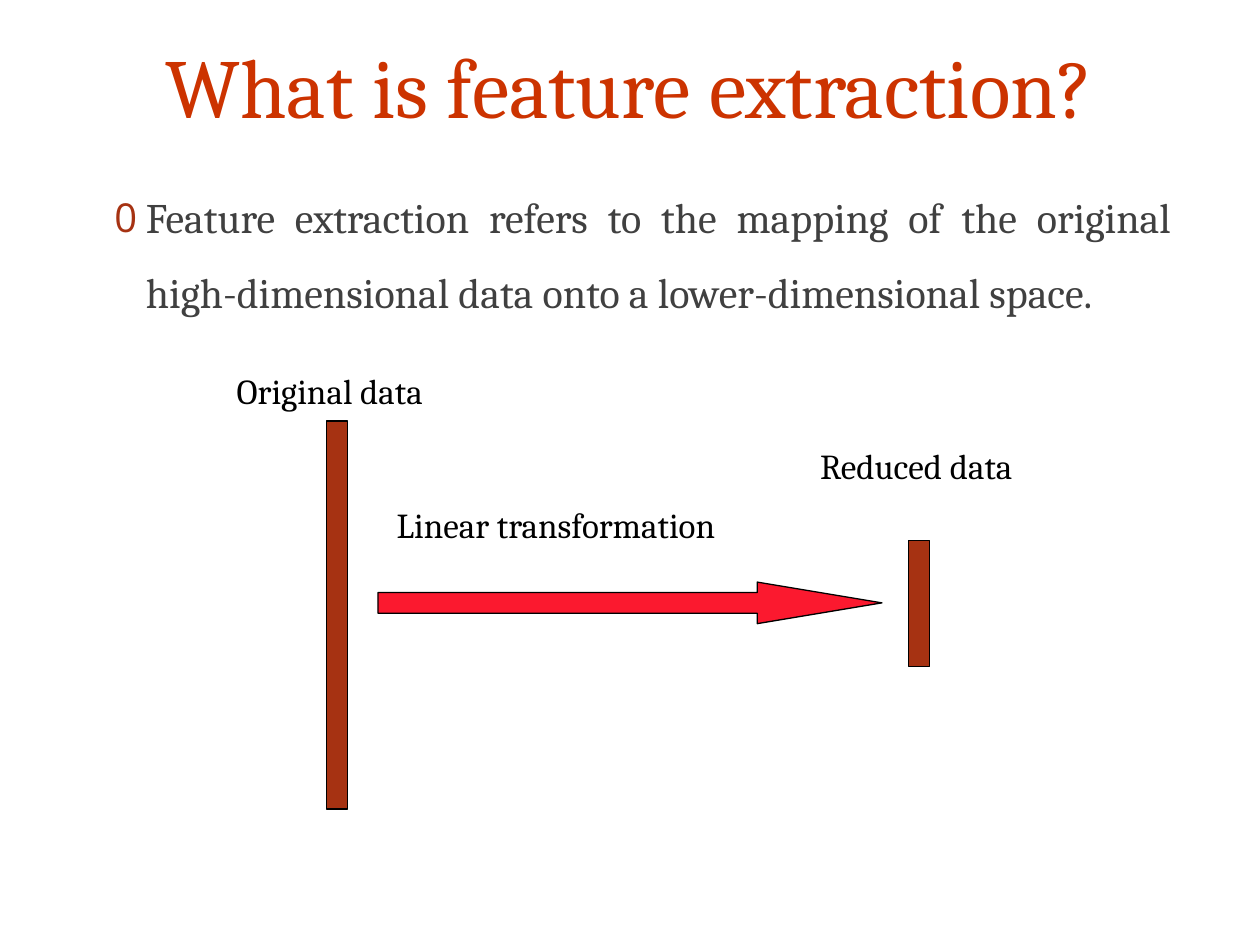
from typing import NamedTuple

from lxml.etree import SubElement
from pptx import Presentation
from pptx.dml.color import RGBColor
from pptx.enum.shapes import MSO_SHAPE
from pptx.enum.text import MSO_ANCHOR, PP_ALIGN
from pptx.oxml.ns import qn
from pptx.util import Inches, Pt

FONT = "Cambria"
COLORS = {
    "title": "CC3300",
    "body": "404040",
    "label": "000000",
    "outline": "000000",
    "data": "A63212",
    "arrow": "FB192F",
}


class Box(NamedTuple):
    left: float
    top: float
    width: float
    height: float

    def lengths(self) -> list:
        return [Inches(value) for value in self]


class Text(NamedTuple):
    words: str
    box: Box
    size: int = 20
    color: str = "label"
    align: PP_ALIGN = PP_ALIGN.LEFT
    anchor: MSO_ANCHOR = MSO_ANCHOR.TOP
    wrap: bool = True


class Block(NamedTuple):
    preset: MSO_SHAPE
    box: Box
    color: str
    adjustments: tuple = ()


TITLE = Text("What is feature extraction?", Box(0.6, 0.08, 8.79, 1.19), 48,
             "title", PP_ALIGN.CENTER, MSO_ANCHOR.MIDDLE)
DEFINITION = Text(
    "Feature extraction refers to the mapping of the original "
    "high-dimensional data onto a lower-dimensional space.",
    Box(0.81, 1.27, 8.58, 4.67), 24, "body", PP_ALIGN.JUSTIFY)
LABELS = [
    Text("Linear transformation", Box(3.05, 3.95, 2.85, 0.44), wrap=False),
    Text("Original data", Box(1.78, 2.88, 1.78, 0.43), wrap=False),
    Text("Reduced data", Box(6.41, 3.48, 2.01, 0.44)),
]
BLOCKS = [
    Block(MSO_SHAPE.RECTANGLE, Box(2.59, 3.34, 0.17, 3.08), "data"),
    Block(MSO_SHAPE.RECTANGLE, Box(7.21, 4.29, 0.17, 1), "data"),
    Block(MSO_SHAPE.RIGHT_ARROW, Box(3, 4.62, 4, 0.33), "arrow", (0.5, 3)),
]


def rgb(name: str) -> RGBColor:
    return RGBColor.from_string(COLORS[name])


def add_bullet(paragraph) -> None:
    properties = paragraph._p.get_or_add_pPr()
    properties.set("marL", str(Inches(0.25)))
    properties.set("indent", str(-Inches(0.25)))
    color = SubElement(properties, qn("a:buClr"))
    SubElement(color, qn("a:srgbClr"), val=COLORS["data"])
    SubElement(properties, qn("a:buSzPct"), val="95000")
    SubElement(properties, qn("a:buFont"), typeface="Open Sans")
    SubElement(properties, qn("a:buChar"), char="0")


def add_text(slide, text: Text):
    frame = slide.shapes.add_textbox(*text.box.lengths()).text_frame
    frame.word_wrap = text.wrap
    frame.vertical_anchor = text.anchor
    frame.text = text.words
    paragraph = frame.paragraphs[0]
    paragraph.alignment = text.align
    font = paragraph.runs[0].font
    font.name = FONT
    font.size = Pt(text.size)
    font.color.rgb = rgb(text.color)
    return paragraph


def add_block(slide, block: Block) -> None:
    shape = slide.shapes.add_shape(block.preset, *block.box.lengths())
    shape.shadow.inherit = False
    shape.fill.solid()
    shape.fill.fore_color.rgb = rgb(block.color)
    shape.line.color.rgb = rgb("outline")
    shape.line.width = Pt(0.75)
    for index, value in enumerate(block.adjustments):
        shape.adjustments[index] = value


def main() -> None:
    deck = Presentation()
    deck.slide_width, deck.slide_height = Inches(10), Inches(7.5)
    slide = deck.slides.add_slide(deck.slide_layouts[6])

    # Title and definition
    add_text(slide, TITLE)
    definition = add_text(slide, DEFINITION)
    definition.line_spacing = 1.5
    add_bullet(definition)

    # Mapping diagram
    for block in BLOCKS:
        add_block(slide, block)
    for label in LABELS:
        add_text(slide, label)

    deck.save("out.pptx")


if __name__ == "__main__":
    main()
